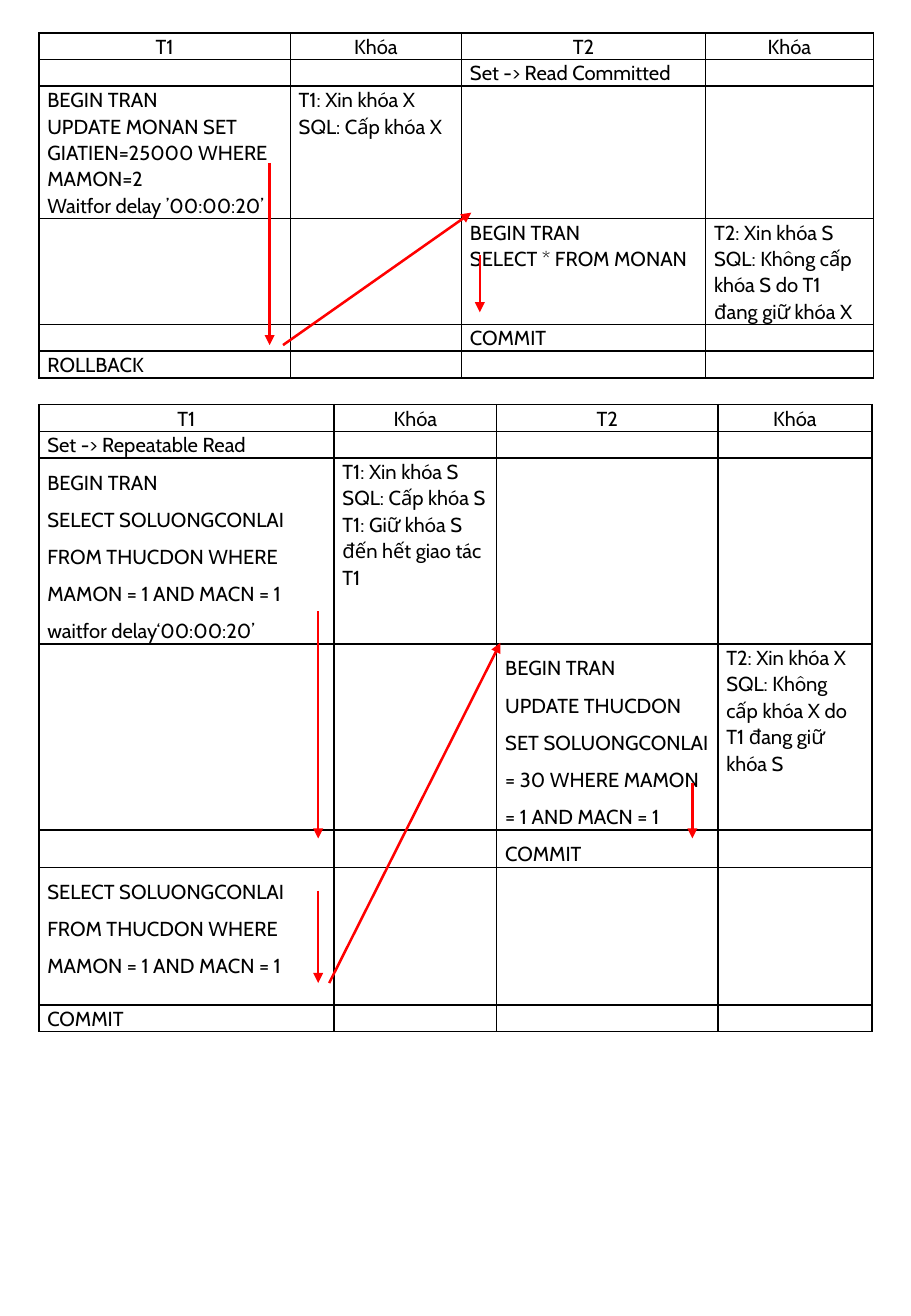
from lxml.etree import SubElement
from pptx import Presentation
from pptx.dml.color import RGBColor
from pptx.enum.shapes import MSO_CONNECTOR
from pptx.enum.text import PP_ALIGN
from pptx.oxml.ns import qn
from pptx.util import Inches, Pt

STRAIGHT = MSO_CONNECTOR.STRAIGHT
CENTER = PP_ALIGN.CENTER
LEFT = PP_ALIGN.LEFT
COLORS = {"ink": "000000", "arrow": "FF0000"}
FONT = "Cabin"
SIZE = 12
TIGHT, LOOSE = 1.07, 1.5
HEAD = ["T1", "Khóa", "T2", "Khóa"]

DIRTY = [
    HEAD,
    ["", "", "Set -> Read Committed", ""],
    ["BEGIN TRAN\nUPDATE MONAN SET GIATIEN=25000 WHERE MAMON=2\n"
     "Waitfor delay ’00:00:20’",
     "T1: Xin khóa X\nSQL: Cấp khóa X", "", ""],
    ["", "", "BEGIN TRAN\nSELECT * FROM MONAN",
     "T2: Xin khóa S\nSQL: Không cấp khóa S do T1 đang giữ khóa X"],
    ["", "", "COMMIT", ""],
    ["ROLLBACK", "", "", ""],
]
QUERY = "SELECT SOLUONGCONLAI FROM THUCDON WHERE MAMON = 1 AND MACN = 1"
REPEAT = [
    HEAD,
    ["Set -> Repeatable Read", "", "", ""],
    [f"BEGIN TRAN\n{QUERY}\nwaitfor delay‘00:00:20’",
     "T1: Xin khóa S\nSQL: Cấp khóa S\nT1: Giữ khóa S đến hết giao tác T1",
     "", ""],
    ["", "", "BEGIN TRAN\nUPDATE THUCDON SET SOLUONGCONLAI = 30 "
     "WHERE MAMON = 1 AND MACN = 1",
     "T2: Xin khóa X\nSQL: Không cấp khóa X do T1 đang giữ khóa S"],
    ["", "", "COMMIT", ""],
    [QUERY, "", "", ""],
    ["COMMIT", "", "", ""],
]
ARROWS = [
    (2.22, 1.34, 2.22, 2.84),
    (2.33, 2.84, 3.88, 1.75),
    (3.95, 2.1, 3.95, 2.57),
    (2.62, 5.03, 2.62, 6.9),
    (2.62, 7.33, 2.62, 8.09),
    (2.71, 8.09, 4.12, 5.29),
    (5.7, 6.44, 5.7, 6.9),
]


class Page:
    def __init__(self, slide):
        self.slide = slide

    def table(self, top, widths, heights, rows, loose=()):
        """Draw a schedule; code cells in the loose rows get wide spacing."""
        frame = self.slide.shapes.add_table(
            len(rows), len(widths), Inches(0.32), Inches(top),
            Inches(sum(widths)), Inches(sum(heights)))
        grid = frame.table
        grid.first_row = grid.horz_banding = False
        for col, width in zip(grid.columns, widths):
            col.width = Inches(width)
        for r, (row, height) in enumerate(zip(rows, heights)):
            grid.rows[r].height = Inches(height)
            for c, text in enumerate(row):
                space = LOOSE if r in loose and c % 2 == 0 else TIGHT
                align = CENTER if r == 0 else LEFT
                self.cell(grid.cell(r, c), text, space, align)

    def cell(self, cell, text, space, align):
        cell.margin_left = cell.margin_right = Inches(0.07)
        cell.margin_top = cell.margin_bottom = 0
        self.border(cell)
        cell.fill.background()
        frame = cell.text_frame
        for i, words in enumerate(text.split("\n")):
            para = frame.add_paragraph() if i else frame.paragraphs[0]
            para.alignment = align
            para.line_spacing = space
            if words:
                self.run(para, words)
            else:
                end = SubElement(para._p, qn("a:endParaRPr"), sz=str(SIZE * 100))
                SubElement(end, qn("a:latin"), typeface=FONT)

    def run(self, para, words):
        run = para.add_run()
        run.text = words
        run.font.name = FONT
        run.font.size = Pt(SIZE)
        run.font.color.rgb = RGBColor.from_string(COLORS["ink"])

    def border(self, cell):
        props = cell._tc.get_or_add_tcPr()
        for side in "LRTB":
            line = SubElement(props, qn(f"a:ln{side}"), w=str(Pt(1)))
            fill = SubElement(line, qn("a:solidFill"))
            SubElement(fill, qn("a:srgbClr"), val=COLORS["ink"])

    def arrow(self, *ends):
        link = self.slide.shapes.add_connector(STRAIGHT, *map(Inches, ends))
        link.line.color.rgb = RGBColor.from_string(COLORS["arrow"])
        link.line.width = Pt(1.5)
        SubElement(link.line._get_or_add_ln(), qn("a:tailEnd"), type="triangle")
        SubElement(link._element.spPr, qn("a:effectLst"))


def main():
    deck = Presentation()
    deck.slide_width, deck.slide_height = Inches(7.5), Inches(10.83)
    page = Page(deck.slides.add_slide(deck.slide_layouts[6]))
    page.table(0.27, [2.07, 1.41, 2.01, 1.38],
               [0.22, 0.22, 1.09, 0.87, 0.22, 0.22], DIRTY)
    page.table(3.33, [2.43, 1.34, 1.82, 1.27],
               [0.22, 0.22, 1.53, 1.53, 0.31, 1.13, 0.22], REPEAT,
               loose=range(2, 6))
    for ends in ARROWS:
        page.arrow(*ends)
    deck.save("out.pptx")


if __name__ == "__main__":
    main()
